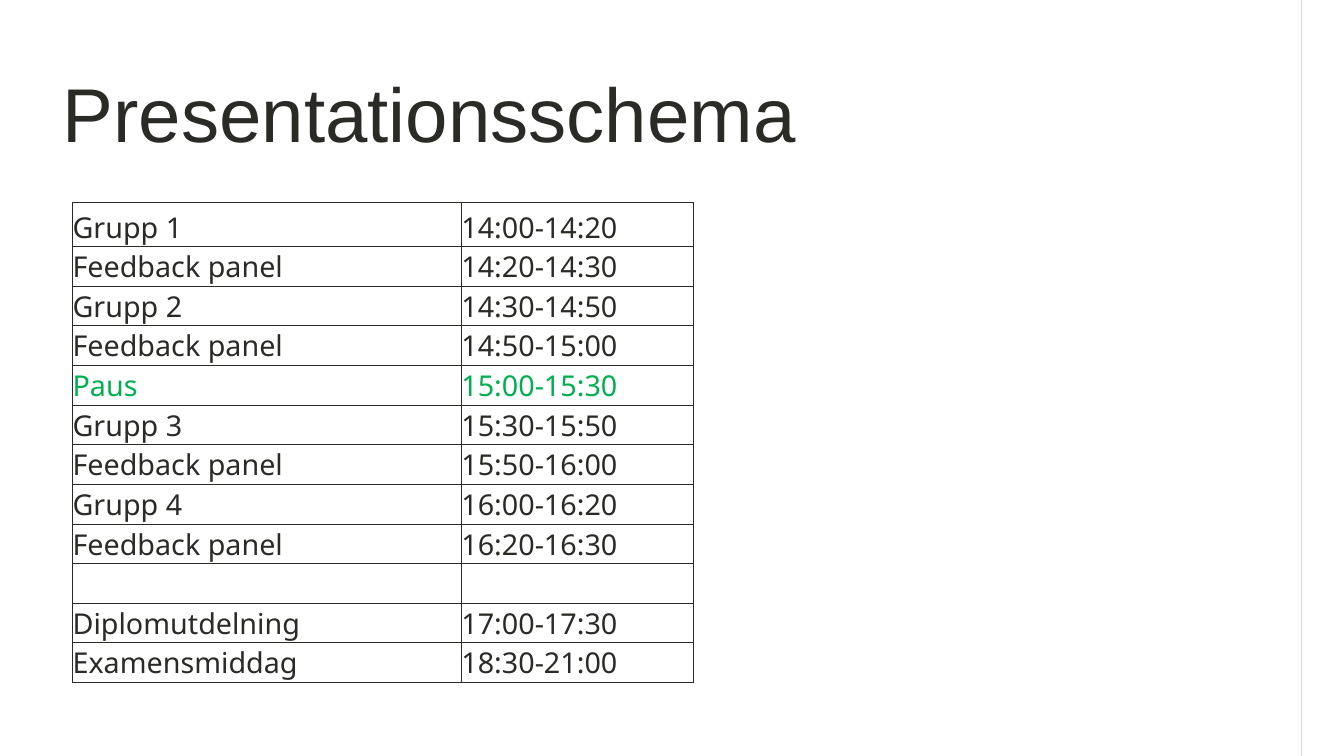
from dataclasses import dataclass

from lxml.etree import SubElement
from pptx import Presentation
from pptx.dml.color import RGBColor
from pptx.enum.shapes import MSO_SHAPE
from pptx.enum.text import MSO_ANCHOR, MSO_AUTO_SIZE, PP_ALIGN
from pptx.oxml.ns import qn
from pptx.util import Pt

TITLE = "Presentationsschema"
BREAK = "Paus"
SCHEDULE = [
    ("Grupp 1", "14:00-14:20"),
    ("Feedback panel", "14:20-14:30"),
    ("Grupp 2", "14:30-14:50"),
    ("Feedback panel", "14:50-15:00"),
    (BREAK, "15:00-15:30"),
    ("Grupp 3", "15:30-15:50"),
    ("Feedback panel", "15:50-16:00"),
    ("Grupp 4", "16:00-16:20"),
    ("Feedback panel", "16:20-16:30"),
    ("", ""),
    ("Diplomutdelning", "17:00-17:30"),
    ("Examensmiddag", "18:30-21:00"),
]


@dataclass(frozen=True)
class Theme:
    ink: str = "2A2B27"
    accent: str = "00B050"
    rule: str = "C7C8C7"
    title_font: str = "Arial"
    body_font: str = "Noto Sans"
    title_size: float = 108.9
    body_size: float = 41


THEME = Theme()
SLIDE_WIDTH, SLIDE_HEIGHT = 1920, 1080
TITLE_BOX = (85, 85, 1690.5, 150)
TITLE_INSET = 4.5
RULE_LEFT, RULE_WIDTH = 1859, 0.75
TABLE_LEFT, TABLE_TOP = 103, 289.5
COLUMN_WIDTHS = (555.5, 332)
FIRST_ROW_HEIGHT, ROW_HEIGHT = 62.6, 56.4
CELL_INSET = 0.7
BORDER_WIDTH = 1


def style_font(font, name, size, color):
    font.name = name
    font.size = Pt(size)
    font.color.rgb = RGBColor.from_string(color)


def set_insets(frame, inset):
    frame.margin_left = frame.margin_top = frame.margin_right = Pt(inset)
    frame.margin_bottom = Pt(inset)


def add_borders(cell):
    properties = cell._tc.get_or_add_tcPr()
    for index, side in enumerate(("lnL", "lnR", "lnT", "lnB")):
        line = SubElement(properties, qn(f"a:{side}"), w=str(Pt(BORDER_WIDTH)))
        fill = SubElement(line, qn("a:solidFill"))
        SubElement(fill, qn("a:srgbClr"), val=THEME.ink)
        properties.insert(index, line)  # borders come before the fill


def add_rule(slide):
    rule = slide.shapes.add_shape(
        MSO_SHAPE.RECTANGLE, Pt(RULE_LEFT), 0, Pt(RULE_WIDTH), Pt(SLIDE_HEIGHT))
    rule.shadow.inherit = False
    rule.fill.solid()
    rule.fill.fore_color.rgb = RGBColor.from_string(THEME.rule)
    rule.line.fill.background()


def fill_title(slide):
    title = slide.shapes.title
    title.left, title.top, title.width, title.height = map(Pt, TITLE_BOX)
    frame = title.text_frame
    frame.text = TITLE
    frame.word_wrap = True
    frame.auto_size = MSO_AUTO_SIZE.NONE
    frame.vertical_anchor = MSO_ANCHOR.MIDDLE
    set_insets(frame, TITLE_INSET)
    paragraph = frame.paragraphs[0]
    paragraph.alignment = PP_ALIGN.LEFT
    style_font(paragraph.runs[0].font, THEME.title_font, THEME.title_size, THEME.ink)


def fill_cell(cell, text, color):
    cell.fill.background()
    cell.vertical_anchor = MSO_ANCHOR.BOTTOM
    set_insets(cell, CELL_INSET)
    cell.margin_bottom = 0
    add_borders(cell)
    if text:
        cell.text_frame.text = text
        run = cell.text_frame.paragraphs[0].runs[0]
        style_font(run.font, THEME.body_font, THEME.body_size, color)


def add_schedule(slide):
    heights = [FIRST_ROW_HEIGHT] + [ROW_HEIGHT] * (len(SCHEDULE) - 1)
    table = slide.shapes.add_table(
        len(SCHEDULE), len(COLUMN_WIDTHS), Pt(TABLE_LEFT), Pt(TABLE_TOP),
        Pt(sum(COLUMN_WIDTHS)), Pt(sum(heights))).table
    table.first_row = table.horz_banding = False
    for column, width in zip(table.columns, COLUMN_WIDTHS):
        column.width = Pt(width)
    for row, height, entry in zip(table.rows, heights, SCHEDULE):
        row.height = Pt(height)
        color = THEME.accent if entry[0] == BREAK else THEME.ink
        for cell, text in zip(row.cells, entry):
            fill_cell(cell, text, color)


def main():
    presentation = Presentation()
    presentation.slide_width = Pt(SLIDE_WIDTH)
    presentation.slide_height = Pt(SLIDE_HEIGHT)
    slide = presentation.slides.add_slide(presentation.slide_layouts[5])
    add_rule(slide)
    fill_title(slide)
    add_schedule(slide)
    presentation.save("out.pptx")


if __name__ == "__main__":
    main()
